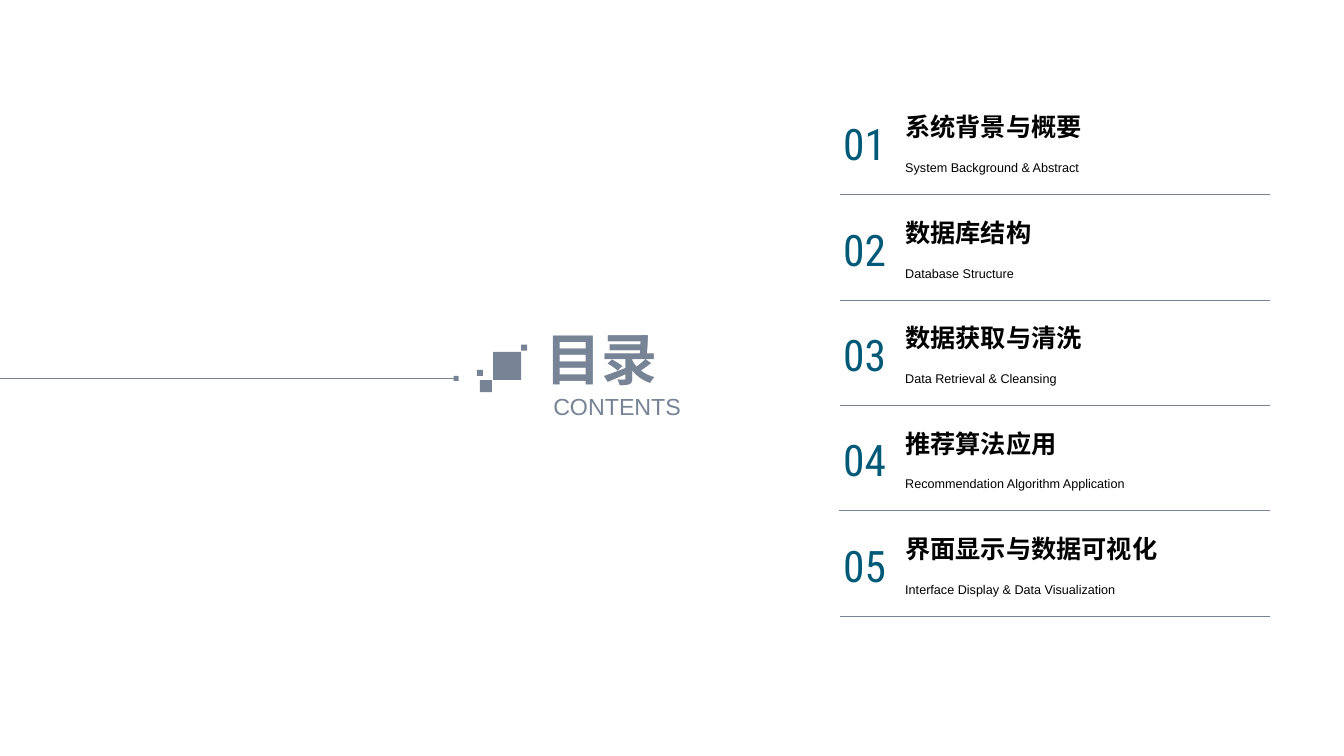
"""Build a contents slide with five numbered sections."""
from dataclasses import dataclass

from pptx import Presentation
from pptx.dml.color import RGBColor
from pptx.enum.shapes import MSO_CONNECTOR, MSO_SHAPE
from pptx.enum.text import MSO_ANCHOR, MSO_AUTO_SIZE, PP_ALIGN
from pptx.oxml.ns import qn
from pptx.shapes.base import BaseShape
from pptx.slide import Slide
from pptx.util import Inches, Pt

STRAIGHT = MSO_CONNECTOR.STRAIGHT
RECTANGLE = MSO_SHAPE.RECTANGLE
TOP, MIDDLE = MSO_ANCHOR.TOP, MSO_ANCHOR.MIDDLE
LEFT, CENTER, JUSTIFY = PP_ALIGN.LEFT, PP_ALIGN.CENTER, PP_ALIGN.JUSTIFY
NO_AUTOFIT = MSO_AUTO_SIZE.NONE
TITLE_ONLY = 5


@dataclass(frozen=True)
class TextStyle:
    size: float
    color: RGBColor
    font: str = "Arial"
    bold: bool = False
    align: PP_ALIGN = LEFT
    anchor: MSO_ANCHOR = TOP
    wrap: bool = True
    line_spacing: float = 1.0
    inset: tuple[float, float] = (0.1, 0.05)


@dataclass(frozen=True)
class Theme:
    slate: RGBColor = RGBColor(0x77, 0x84, 0x95)
    teal: RGBColor = RGBColor(0x01, 0x59, 0x78)
    black: RGBColor = RGBColor(0, 0, 0)
    line_width: float = 0.5

    @property
    def title(self) -> TextStyle:
        return TextStyle(40, self.slate, bold=True, align=JUSTIFY, inset=(0, 0))

    @property
    def subtitle(self) -> TextStyle:
        return TextStyle(16.6, self.slate, align=CENTER, anchor=MIDDLE, inset=(0, 0))

    @property
    def number(self) -> TextStyle:
        return TextStyle(31, self.teal, font="Roboto Condensed", align=CENTER,
                         anchor=MIDDLE, wrap=False)

    @property
    def heading(self) -> TextStyle:
        return TextStyle(18, self.black, bold=True, wrap=False)

    @property
    def caption(self) -> TextStyle:
        return TextStyle(9, self.black, line_spacing=1.2)


@dataclass(frozen=True)
class Box:
    left: float
    top: float
    width: float
    height: float


@dataclass(frozen=True)
class Section:
    heading: str
    caption: str


THEME = Theme()
SECTIONS = (
    Section("系统背景与概要", "System Background & Abstract"),
    Section("数据库结构", "Database Structure"),
    Section("数据获取与清洗", "Data Retrieval & Cleansing"),
    Section("推荐算法应用", "Recommendation Algorithm Application"),
    Section("界面显示与数据可视化", "Interface Display & Data Visualization"),
)
SQUARES = (
    Box(4.89, 3.49, 0.28, 0.28),
    Box(5.17, 3.42, 0.06, 0.06),
    Box(4.76, 3.77, 0.12, 0.12),
    Box(4.73, 3.67, 0.06, 0.06),
    Box(4.5, 3.73, 0.05, 0.05),
)
FIRST_TOP = 1.06
ROW_PITCH = 1.045
RULE_OFFSET = 0.87
LIST_LEFT, LIST_RIGHT = 8.33, 12.6
TEXT_LEFT = 8.88
TEXT_WIDTH = LIST_RIGHT - TEXT_LEFT


def place(shape: BaseShape, box: Box) -> None:
    """Move and size a shape."""
    shape.left, shape.top = Inches(box.left), Inches(box.top)
    shape.width, shape.height = Inches(box.width), Inches(box.height)


def write(shape: BaseShape, text: str, style: TextStyle) -> None:
    """Fill a shape with one styled paragraph."""
    frame = shape.text_frame
    frame.text = text
    frame.auto_size = NO_AUTOFIT
    frame.word_wrap = style.wrap
    frame.vertical_anchor = style.anchor
    horizontal, vertical = style.inset
    frame.margin_left = frame.margin_right = Inches(horizontal)
    frame.margin_top = frame.margin_bottom = Inches(vertical)
    paragraph = frame.paragraphs[0]
    paragraph.alignment = style.align
    paragraph.line_spacing = style.line_spacing
    paragraph.font.name = style.font
    paragraph.font.size = Pt(style.size)
    paragraph.font.bold = style.bold
    paragraph.font.color.rgb = style.color


def add_text(slide: Slide, box: Box, text: str, style: TextStyle) -> None:
    """Add a text box."""
    shape = slide.shapes.add_textbox(Inches(box.left), Inches(box.top),
                                     Inches(box.width), Inches(box.height))
    write(shape, text, style)


def add_square(slide: Slide, box: Box) -> None:
    """Add a plain slate square."""
    shape = slide.shapes.add_shape(RECTANGLE, Inches(box.left), Inches(box.top),
                                   Inches(box.width), Inches(box.height))
    shape.shadow.inherit = False
    shape.fill.solid()
    shape.fill.fore_color.rgb = THEME.slate
    shape.line.fill.background()


def add_rule(slide: Slide, left: float, right: float, top: float) -> None:
    """Add a thin horizontal line."""
    rule = slide.shapes.add_connector(STRAIGHT, Inches(left), Inches(top),
                                      Inches(right), Inches(top))
    rule.line.color.rgb = THEME.slate
    rule.line.width = Pt(THEME.line_width)
    properties = rule._element.spPr
    properties.append(properties.makeelement(qn("a:effectLst"), {}))


def add_section(slide: Slide, index: int, section: Section) -> None:
    """Add one numbered row with its rule below."""
    top = FIRST_TOP + index * ROW_PITCH
    add_text(slide, Box(TEXT_LEFT, top + 0.45, TEXT_WIDTH, 0.32),
             section.caption, THEME.caption)
    add_text(slide, Box(TEXT_LEFT, top, TEXT_WIDTH, 0.45),
             section.heading, THEME.heading)
    add_text(slide, Box(LIST_LEFT, top + 0.1, 0.49, 0.53),
             f"{index + 1:02d}", THEME.number)
    add_rule(slide, LIST_LEFT, LIST_RIGHT, top + RULE_OFFSET)


def main() -> None:
    """Build and save the presentation."""
    presentation = Presentation()
    presentation.slide_width, presentation.slide_height = Inches(13.33), Inches(7.5)
    slide = presentation.slides.add_slide(presentation.slide_layouts[TITLE_ONLY])

    place(slide.shapes.title, Box(5.41, 3.22, 1.42, 0.67))
    write(slide.shapes.title, "目录", THEME.title)
    add_text(slide, Box(5.41, 3.9, 1.42, 0.26), "CONTENTS", THEME.subtitle)

    add_rule(slide, 0, 4.52, 3.75)
    for square in SQUARES:
        add_square(slide, square)
    for index, section in enumerate(SECTIONS):
        add_section(slide, index, section)
    last_row_top = FIRST_TOP + (len(SECTIONS) - 2) * ROW_PITCH + RULE_OFFSET
    add_rule(slide, LIST_LEFT - 0.01, LIST_RIGHT, last_row_top)

    presentation.save("out.pptx")


if __name__ == "__main__":
    main()
